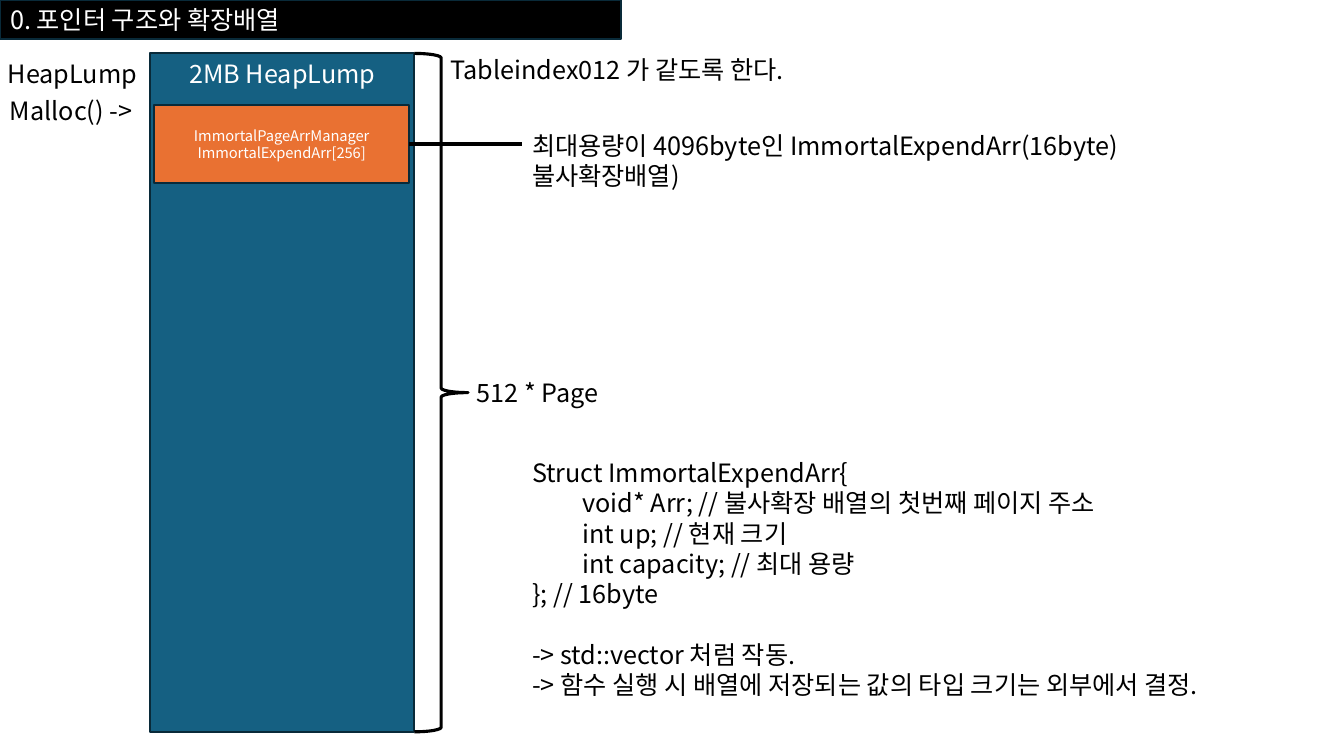
from lxml.etree import SubElement
from pptx import Presentation
from pptx.dml.color import RGBColor
from pptx.enum.shapes import MSO_CONNECTOR, MSO_SHAPE
from pptx.enum.text import MSO_ANCHOR as Anchor, MSO_AUTO_SIZE as AutoSize, PP_ALIGN as Align
from pptx.oxml.ns import qn
from pptx.util import Inches, Pt

FONT = "Noto Sans CJK KR"
BLACK, WHITE, EDGE = "000000", "FFFFFF", "092A39"
HEAP_FILL, MANAGER_FILL = "156082", "E97132"
LINE_PITCH = 1.2


def rgb(code):
    return RGBColor.from_string(code)


def write(frame, text, size=18, color=BLACK, align=Align.LEFT, anchor=Anchor.TOP, gap_before=None):
    """Fill a frame, one paragraph per line; gap_before is a line index that gets a one-line gap."""
    frame.word_wrap = True
    frame.auto_size = AutoSize.NONE
    frame.vertical_anchor = anchor
    for index, line in enumerate(text.split("\n")):
        paragraph = frame.paragraphs[0] if index == 0 else frame.add_paragraph()
        paragraph.alignment = align
        paragraph.line_spacing = Pt(size * LINE_PITCH)
        if index == gap_before:
            paragraph.space_before = Pt(size * LINE_PITCH)
        run = paragraph.add_run()
        run.text = line
        run.font.name = FONT
        run.font.size = Pt(size)
        run.font.color.rgb = rgb(color)
        SubElement(run.font._element, qn("a:ea")).set("typeface", FONT)


class HeapSlide:
    """Places elements by percent of the slide's width and height."""

    def __init__(self, deck):
        self.width, self.height = deck.slide_width, deck.slide_height
        self.slide = deck.slides.add_slide(deck.slide_layouts[5])
        self.shapes = self.slide.shapes

    def x(self, share):
        return round(self.width * share / 100)

    def y(self, share):
        return round(self.height * share / 100)

    def area(self, left, top, width, height):
        return self.x(left), self.y(top), self.x(width), self.y(height)

    def paint(self, shape, fill, line, weight):
        if fill:
            shape.fill.solid()
            shape.fill.fore_color.rgb = rgb(fill)
        else:
            shape.fill.background()
        shape.line.color.rgb = rgb(line)
        shape.line.width = Pt(weight)

    def title(self, text, *area):
        heading = self.shapes.title
        heading.left, heading.top, heading.width, heading.height = self.area(*area)
        self.paint(heading, BLACK, EDGE, 1.5)
        write(heading.text_frame, text, color=WHITE, anchor=Anchor.MIDDLE)

    def shape(self, kind, *area, fill=None, line=EDGE, weight=1.5):
        shape = self.shapes.add_shape(kind, *self.area(*area))
        shape.shadow.inherit = False
        self.paint(shape, fill, line, weight)
        return shape

    def block(self, text, *area, fill, **text_format):
        block = self.shape(MSO_SHAPE.RECTANGLE, *area, fill=fill)
        write(block.text_frame, text, color=WHITE, align=Align.CENTER, **text_format)
        return block

    def label(self, text, left, top, width, height=5.33, **text_format):
        box = self.shapes.add_textbox(*self.area(left, top, width, height))
        write(box.text_frame, text, **text_format)

    def leader(self, source, end):
        """Draw a level line from the middle of the source's right side."""
        level = source.top + source.height // 2
        line = self.shapes.add_connector(
            MSO_CONNECTOR.STRAIGHT, source.left + source.width, level, self.x(end), level)
        line.begin_connect(source, 3)
        line.line.color.rgb = rgb(BLACK)
        line.line.width = Pt(2.75)
        SubElement(line._element.spPr, qn("a:effectLst"))


STRUCT_CODE = """Struct ImmortalExpendArr{
\tvoid* Arr; // 불사확장 배열의 첫번째 페이지 주소
\tint up; // 현재 크기
\tint capacity; // 최대 용량
}; // 16byte
-> std::vector 처럼 작동.
-> 함수 실행 시 배열에 저장되는 값의 타입 크기는 외부에서 결정."""


def main():
    deck = Presentation()
    deck.slide_width, deck.slide_height = Inches(13.33), Inches(7.5)
    page = HeapSlide(deck)

    heap_left, heap_top, heap_width, heap_height = 11.18, 7.07, 19.65, 89.73
    note_left, note_width = 38.85, 52.95

    page.title("0. 포인터 구조와 확장배열", 0, 0, 46.2, 5.2)
    page.block("2MB HeapLump", heap_left, heap_top, heap_width, heap_height, fill=HEAP_FILL)
    page.shape(MSO_SHAPE.RIGHT_BRACE, heap_left + heap_width, heap_top, 4, heap_height,
               line=BLACK, weight=2.25)
    manager = page.block("ImmortalPageArrManager\nImmortalExpendArr[256]",
                         11.48, 13.87, 18.97, 10.4,
                         fill=MANAGER_FILL, size=10.5, anchor=Anchor.MIDDLE)
    page.leader(manager, note_left)

    page.label("HeapLump", -0.15, heap_top, 11.63)
    page.label("Malloc() ->", 0, 12, 12.2)
    page.label("Tableindex012 가 같도록 한다.", 32.78, 6.53, 50.2)
    page.label("512 * Page", 34.73, 49.2, 12.2)
    page.label("최대용량이 4096byte인 ImmortalExpendArr(16byte) 불사확장배열)",
               note_left, 16.53, note_width, 9.47)
    page.label(STRUCT_CODE, note_left, 59.87, note_width, 37.73, gap_before=5)

    deck.save("out.pptx")


if __name__ == "__main__":
    main()
